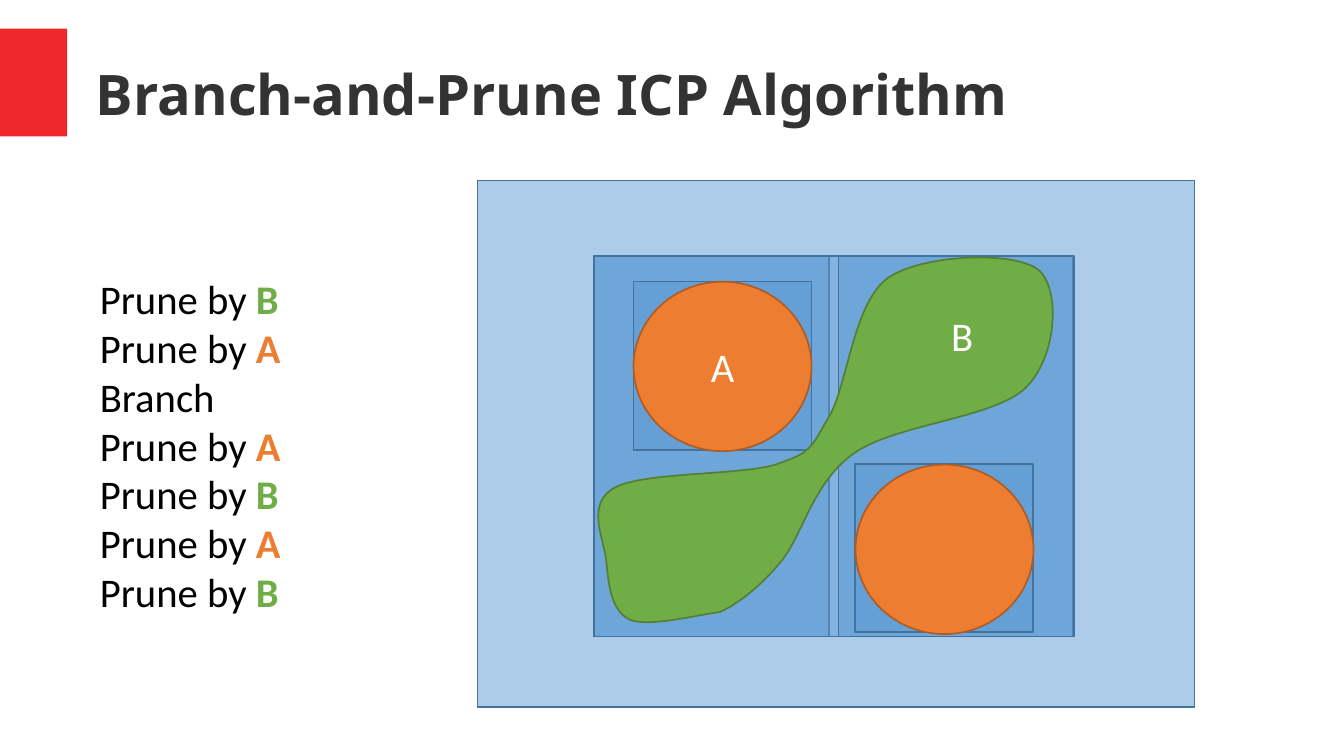
from pptx import Presentation
from pptx.dml.color import RGBColor
from pptx.enum.shapes import MSO_SHAPE
from pptx.enum.text import MSO_ANCHOR, MSO_AUTO_SIZE, PP_ALIGN
from pptx.oxml.ns import qn
from pptx.util import Inches, Pt
from lxml.etree import SubElement

RED = RGBColor(0xEF, 0x29, 0x29)
BLUE = RGBColor(0x5B, 0x9B, 0xD5)
BLUE_EDGE = RGBColor(0x43, 0x72, 0x9D)
ORANGE = RGBColor(0xED, 0x7D, 0x31)
ORANGE_EDGE = RGBColor(0xAF, 0x5C, 0x24)
GREEN = RGBColor(0x70, 0xAD, 0x47)
GREEN_EDGE = RGBColor(0x52, 0x7F, 0x34)
CHARCOAL = RGBColor(0x33, 0x33, 0x33)
BLACK = RGBColor(0, 0, 0)
WHITE = RGBColor(0xFF, 0xFF, 0xFF)

CELL = Inches(0.01)
COLUMNS, ROWS = 1102, 620

deck = Presentation()
deck.slide_width = COLUMNS * CELL
deck.slide_height = ROWS * CELL
page = deck.slides.add_slide(deck.slide_layouts[5])


def grid(*cells):
    return [int(cell * CELL) for cell in cells]


def paint(shape, fill, edge=None, opacity=100):
    shape.shadow.inherit = False
    shape.fill.solid()
    shape.fill.fore_color.rgb = fill
    if opacity < 100:
        color = shape.fill._xPr.find(qn("a:solidFill"))[0]
        SubElement(color, qn("a:alpha")).set("val", str(opacity * 1000))
    if edge is None:
        shape.line.fill.background()
    else:
        shape.line.color.rgb = edge
        shape.line.width = Pt(1)


title = page.shapes.title
title.left, title.top, title.width, title.height = grid(78.5, 24.5, 968, 104)
frame = title.text_frame
frame.margin_left = frame.margin_right = frame.margin_top = frame.margin_bottom = 0
frame.vertical_anchor = MSO_ANCHOR.MIDDLE
frame.word_wrap = True
frame.auto_size = MSO_AUTO_SIZE.NONE
frame.text = "Branch-and-Prune ICP Algorithm"
para = frame.paragraphs[0]
para.alignment = PP_ALIGN.LEFT
para.font.name = "Noto Sans"
para.font.size = Pt(33)
para.font.bold = True
para.font.color.rgb = CHARCOAL

accent = page.shapes.add_shape(MSO_SHAPE.RECTANGLE, *grid(0, 23.5, 55, 88.5))
paint(accent, RED)

search_boxes = [
    (391.5, 148, 588, 432),
    (487, 210, 193, 312),
    (487, 210, 393, 312),
    (687.5, 210, 193, 312),
    (519.5, 231, 146, 138),
    (701, 380.5, 146, 138),
]
for cells in search_boxes:
    box = page.shapes.add_shape(MSO_SHAPE.RECTANGLE, *grid(*cells))
    paint(box, BLUE, BLUE_EDGE, 50)

steps = page.shapes.add_textbox(*grid(72, 220, 168, 290))
steps.text_frame.word_wrap = False
steps.text_frame.auto_size = MSO_AUTO_SIZE.SHAPE_TO_FIT_TEXT
constraint_colors = {"A": ORANGE, "B": GREEN}
for index, constraint in enumerate(["B", "A", None, "A", "B", "A", "B"]):
    para = steps.text_frame.paragraphs[0] if index == 0 else steps.text_frame.add_paragraph()
    para.font.name = "Calibri"
    para.font.size = Pt(24)
    span = para.add_run()
    span.text = "Prune by " if constraint else "Branch"
    span.font.color.rgb = BLACK
    if constraint:
        span = para.add_run()
        span.text = constraint
        span.font.bold = True
        span.font.color.rgb = constraint_colors[constraint]

constraints = page.shapes.add_group_shape()
labels = []
for left, top, name in [(519.5, 231, "A"), (701.5, 381, "")]:
    circle = constraints.shapes.add_shape(MSO_SHAPE.OVAL, *grid(left, top, 146, 139))
    paint(circle, ORANGE, ORANGE_EDGE)
    if name:
        labels.append((circle, name, PP_ALIGN.CENTER))

start = (497, 459)
curves = [
    [(495, 441), (480, 413), (504, 400)],
    [(527, 387), (606, 390), (636, 381)],
    [(665, 371), (664, 369), (679, 343)],
    [(695, 318), (699, 249), (728, 228)],
    [(757, 208), (832, 206), (851, 221)],
    [(870, 236), (867, 293), (841, 318)],
    [(816, 343), (733, 348), (700, 372)],
    [(666, 396), (658, 440), (640, 461)],
    [(622, 483), (602, 497), (590, 502)],
    [(573, 504), (531, 515), (516, 508)],
    [(500, 500), (499, 477), (497, 459)],
]
left, top, right, bottom = 491, 211, 880, 520
builder = constraints.shapes.build_freeform(left, top, scale=CELL)
builder.add_line_segments([(right, top), (right, bottom), (left, bottom)], close=True)
region = builder.convert_to_shape()
paint(region, GREEN, GREEN_EDGE)
outline = next(region._element.iter(qn("a:path")))
for segment in list(outline):
    outline.remove(segment)
for command, points in [("a:moveTo", [start])] + [("a:cubicBezTo", curve) for curve in curves]:
    segment = SubElement(outline, qn(command))
    for x, y in points:
        point = SubElement(segment, qn("a:pt"))
        point.set("x", str(x - left))
        point.set("y", str(y - top))
SubElement(outline, qn("a:close"))

region_label = constraints.shapes.add_textbox(*grid(770, 250, 38, 50))
region_label.text_frame.word_wrap = False
region_label.text_frame.auto_size = MSO_AUTO_SIZE.SHAPE_TO_FIT_TEXT
labels.append((region_label, "B", PP_ALIGN.LEFT))

for shape, name, alignment in labels:
    shape.text_frame.text = name
    para = shape.text_frame.paragraphs[0]
    para.alignment = alignment
    para.font.name = "Calibri"
    para.font.size = Pt(24)
    para.font.color.rgb = WHITE

deck.save("out.pptx")
